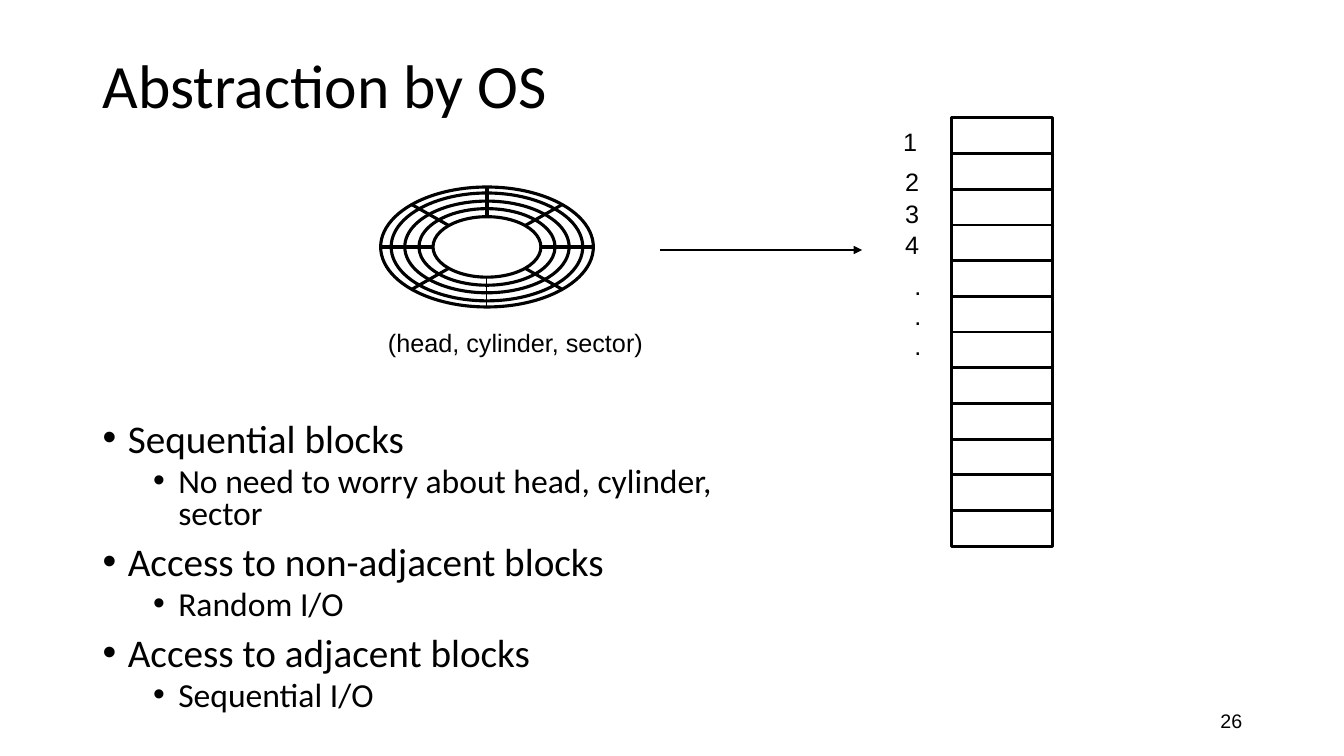
from dataclasses import dataclass
from math import cos, radians, sin

from lxml.etree import SubElement
from pptx import Presentation
from pptx.dml.color import RGBColor
from pptx.enum.shapes import MSO_CONNECTOR, MSO_SHAPE
from pptx.enum.text import MSO_ANCHOR, PP_ALIGN
from pptx.oxml.ns import qn
from pptx.util import Inches, Pt


@dataclass(frozen=True)
class Theme:
    ink: RGBColor = RGBColor(0, 0, 0)
    paper: RGBColor = RGBColor(255, 255, 255)
    text_font: str = "Calibri"
    label_font: str = "Arial"
    title_size: int = 44
    bullet_sizes: tuple = (28, 24)
    label_size: int = 18
    number_size: int = 14


theme = Theme()
deck = Presentation()
deck.slide_width, deck.slide_height = Inches(13.33), Inches(7.5)
page = deck.slides.add_slide(deck.slide_layouts[5])


def add_text(left, top, width, height, text, size, font=theme.label_font):
    box = page.shapes.add_textbox(Inches(left), Inches(top), Inches(width), Inches(height))
    box.text_frame.text = text
    for para in box.text_frame.paragraphs:
        para.font.size = Pt(size)
        for span in para.runs:
            span.font.size = Pt(size)
            span.font.name = font
            span.font.color.rgb = theme.ink
    return box


def add_line(start_x, start_y, end_x, end_y, weight):
    line = page.shapes.add_connector(
        MSO_CONNECTOR.STRAIGHT, Inches(start_x), Inches(start_y), Inches(end_x), Inches(end_y))
    line.line.color.rgb = theme.ink
    line.line.width = Pt(weight)
    SubElement(line.line._get_or_add_ln().getparent(), qn("a:effectLst"))
    return line


# Title
title = page.shapes.title
title.left, title.top = Inches(0.92), Inches(0.33)
title.width, title.height = Inches(11.5), Inches(1.09)
title.text_frame.text = "Abstraction by OS"
title.text_frame.vertical_anchor = MSO_ANCHOR.MIDDLE
heading = title.text_frame.paragraphs[0]
heading.alignment = PP_ALIGN.LEFT
heading.line_spacing = 0.9
heading.runs[0].font.size = Pt(theme.title_size)
heading.runs[0].font.name = theme.text_font
heading.runs[0].font.color.rgb = theme.ink

# Slide number
number = add_text(9.42, 6.95, 3, 0.4, "26", theme.number_size)
number.text_frame.vertical_anchor = MSO_ANCHOR.MIDDLE
number.text_frame.paragraphs[0].alignment = PP_ALIGN.RIGHT

# Bullets
bullets = [
    (0, "Sequential blocks"),
    (1, "No need to worry about head, cylinder,\vsector"),
    (0, "Access to non-adjacent blocks"),
    (1, "Random I/O"),
    (0, "Access to adjacent blocks"),
    (1, "Sequential I/O"),
]
body = add_text(0.92, 4.15, 11.5, 2.9, "", theme.bullet_sizes[0])
body.text_frame.word_wrap = True
for index, (level, text) in enumerate(bullets):
    para = body.text_frame.paragraphs[0] if index == 0 else body.text_frame.add_paragraph()
    para.text = text
    para.level = level
    para.line_spacing = 0.8
    para.space_before = Pt((10, 5)[level] if index else 0)
    for span in para.runs:
        span.font.size = Pt(theme.bullet_sizes[level])
        span.font.name = theme.text_font
        span.font.color.rgb = theme.ink
    properties = para._p.get_or_add_pPr()
    properties.set("marL", str(Inches(0.25 + 0.5 * level)))
    properties.set("indent", str(Inches(-0.25)))
    SubElement(properties, qn("a:buFont"), typeface=theme.label_font)
    SubElement(properties, qn("a:buChar"), char="•")

# Disk tracks
center_x, center_y = 4.83, 2.45
tracks = [(2.11, 1.19), (1.9, 1.07), (1.63, 0.91), (1.35, 0.76), (1.07, 0.6)]
for width, height in tracks:
    track = page.shapes.add_shape(
        MSO_SHAPE.OVAL, Inches(center_x - width / 2), Inches(center_y - height / 2),
        Inches(width), Inches(height))
    track.shadow.inherit = False
    track.fill.solid()
    track.fill.fore_color.rgb = theme.paper
    track.line.color.rgb = theme.ink
    track.line.width = Pt(2.25)

# Sector borders, from the outer track to the inner one
(outer_width, outer_height), (inner_width, inner_height) = tracks[0], tracks[-1]
for degrees in range(0, 360, 45):
    across, down = cos(radians(degrees)) / 2, sin(radians(degrees)) / 2
    add_line(center_x + outer_width * across, center_y + outer_height * down,
             center_x + inner_width * across, center_y + inner_height * down,
             0.75 if degrees == 90 else 2.25)

# Column of blocks
block_pitch = 4.25 / 12
for row in range(12):
    block = page.shapes.add_shape(
        MSO_SHAPE.RECTANGLE, Inches(9.44), Inches(1.17 + row * block_pitch),
        Inches(1), Inches(block_pitch))
    block.shadow.inherit = False
    block.fill.background()
    block.line.color.rgb = theme.ink
    block.line.width = Pt(2)

# Labels
labels = [
    (8.86, 1.2, 0.34, 0.4, "1"),
    (8.88, 1.6, 0.34, 0.4, "2"),
    (8.88, 1.92, 0.34, 0.4, "3"),
    (8.88, 2.23, 0.34, 0.4, "4"),
    (8.97, 2.63, 0.27, 1, ".\n.\n."),
    (3.75, 3.2, 2.74, 0.4, "(head, cylinder, sector)"),
]
for label in labels:
    add_text(*label, theme.label_size).text_frame.word_wrap = False

# Arrow from disk to blocks
arrow = add_line(6.55, 2.48, 8.55, 2.48, 2)
SubElement(arrow.line._get_or_add_ln(), qn("a:tailEnd"), type="triangle")

deck.save("out.pptx")
